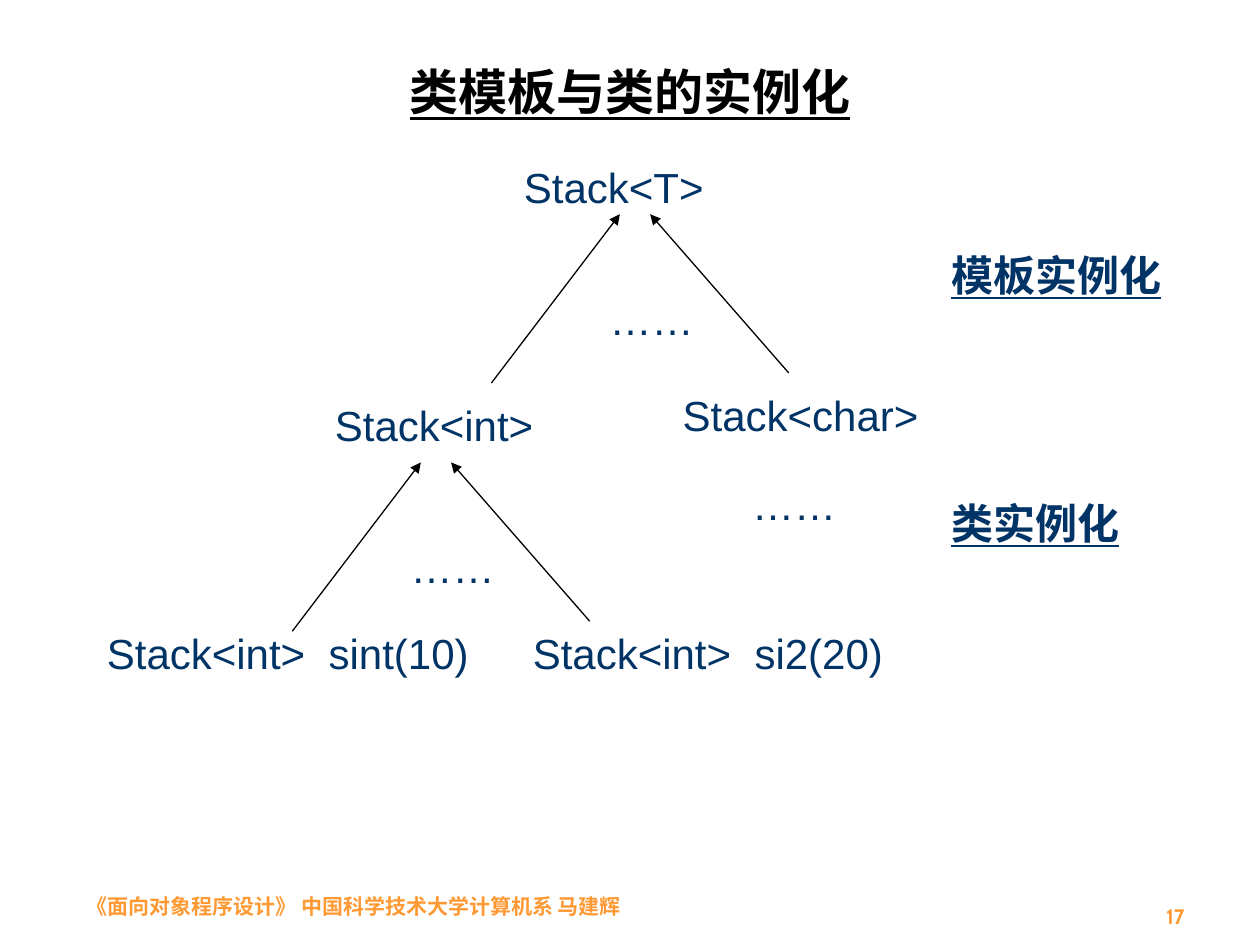
from lxml import etree
from pptx import Presentation
from pptx.dml.color import RGBColor
from pptx.enum.shapes import MSO_CONNECTOR
from pptx.enum.text import MSO_ANCHOR, MSO_AUTO_SIZE, PP_ALIGN
from pptx.oxml.ns import qn
from pptx.util import Inches, Pt

BLACK = RGBColor(0x00, 0x00, 0x00)
NAVY = RGBColor(0x00, 0x33, 0x66)
ORANGE = RGBColor(0xFF, 0x99, 0x33)
LABEL_HEIGHT = 0.5
DOTS_WIDTH = 0.89
BRANCH_WIDTH, BRANCH_HEIGHT = 2.36, 1.34
VARIABLE_TAB = 1.76


def write_text(shape, text, size=24, color=NAVY, font="Arial", bold=False, underline=False,
               align=PP_ALIGN.LEFT, anchor=MSO_ANCHOR.TOP, tab=None):
    frame = shape.text_frame
    frame.word_wrap = True
    frame.auto_size = MSO_AUTO_SIZE.NONE
    frame.vertical_anchor = anchor
    paragraph = frame.paragraphs[0]
    paragraph.alignment = align
    if tab:
        tabs = etree.SubElement(paragraph._p.get_or_add_pPr(), qn("a:tabLst"))
        etree.SubElement(tabs, qn("a:tab"), pos=str(Inches(tab)), algn="l")
    run = paragraph.add_run()
    run.text = text
    run.font.size = Pt(size)
    run.font.name = font
    run.font.bold = bold
    run.font.underline = underline
    run.font.color.rgb = color


def add_text(slide, text, left, top, width, height=LABEL_HEIGHT, **text_format):
    box = slide.shapes.add_textbox(Inches(left), Inches(top), Inches(width), Inches(height))
    write_text(box, text, **text_format)


def add_arrow(slide, start, end):
    arrow = slide.shapes.add_connector(
        MSO_CONNECTOR.STRAIGHT, *(Inches(value) for value in (*start, *end)))
    arrow.line.color.rgb = BLACK
    arrow.line.width = Pt(0.75)
    etree.SubElement(arrow.line._get_or_add_ln(), qn("a:tailEnd"), type="triangle")
    etree.SubElement(arrow._element.spPr, qn("a:effectLst"))


def add_title(slide, text, left, top, width, height):
    title = slide.shapes.title
    title.left, title.top = Inches(left), Inches(top)
    title.width, title.height = Inches(width), Inches(height)
    write_text(title, text, size=28, color=BLACK, bold=True, underline=True,
               align=PP_ALIGN.CENTER, anchor=MSO_ANCHOR.MIDDLE)


def add_branch(slide, left, top):
    """Draw two arrows rising from the children to their parent, with dots between."""
    bottom = top + BRANCH_HEIGHT
    add_arrow(slide, (left, bottom), (left + 1.02, top))
    add_arrow(slide, (left + BRANCH_WIDTH, bottom - 0.08), (left + 1.26, top))
    add_text(slide, "……", left + 0.84, top + 0.58, DOTS_WIDTH)


def add_tree(slide, left, top):
    """Draw the template, its classes and their objects."""
    add_text(slide, "Stack<T>", left + 3.31, top, 1.68)
    add_branch(slide, left + 3.15, top + 0.47)
    add_text(slide, "Stack<int>", left + 1.81, top + 1.89, 1.9)
    add_text(slide, "Stack<char>", left + 4.57, top + 1.81, 2.28)
    add_text(slide, "……", left + 5.12, top + 2.52, DOTS_WIDTH)
    add_branch(slide, left + 1.57, top + 2.44)
    add_text(slide, "Stack<int>\tsint(10)", left, top + 3.7, 3.18, tab=VARIABLE_TAB)
    add_text(slide, "Stack<int>\tsi2(20)", left + 3.38, top + 3.7, 3.35, tab=VARIABLE_TAB)


def add_stage_labels(slide, left, top):
    add_text(slide, "模板实例化", left, top, 1.9, bold=True, underline=True)
    add_text(slide, "类实例化", left, top + 1.97, 1.57, bold=True, underline=True)


def add_footer(slide, left, top):
    footer_format = dict(size=12, color=ORANGE, font="Cabin", bold=True,
                         anchor=MSO_ANCHOR.BOTTOM)
    add_text(slide, "《面向对象程序设计》 中国科学技术大学计算机系 马建辉",
             left, top, 4.49, 0.44, **footer_format)
    add_text(slide, "17", left + 6.83, top + 0.02, 2.08, 0.5,
             align=PP_ALIGN.RIGHT, **footer_format)


def main():
    presentation = Presentation()
    presentation.slide_width, presentation.slide_height = Inches(10), Inches(7.5)
    slide = presentation.slides.add_slide(presentation.slide_layouts[5])
    add_footer(slide, 0.59, 6.9)
    add_title(slide, "类模板与类的实例化", 0.5, 0.3, 9, 0.85)
    add_tree(slide, 0.75, 1.23)
    add_stage_labels(slide, 7.45, 1.93)
    presentation.save("out.pptx")


if __name__ == "__main__":
    main()
